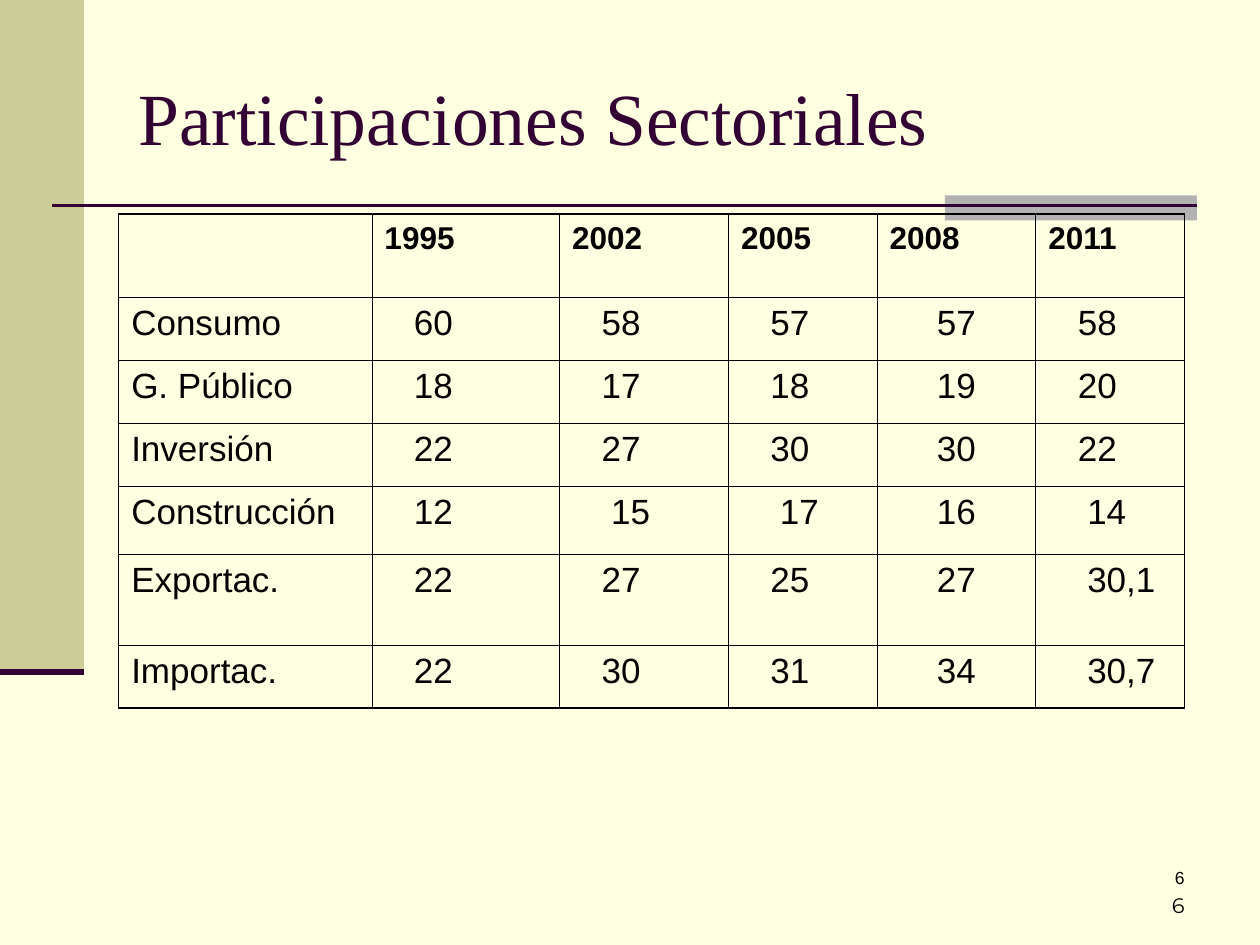
from dataclasses import dataclass
from lxml.etree import SubElement
from pptx import Presentation
from pptx.dml.color import RGBColor
from pptx.enum.shapes import MSO_CONNECTOR, MSO_SHAPE
from pptx.enum.text import MSO_ANCHOR, PP_ALIGN
from pptx.oxml import parse_xml
from pptx.oxml.ns import nsdecls, qn
from pptx.util import Inches, Pt


@dataclass(frozen=True)
class Theme:
    paper: str = "FFFFE1"
    olive: str = "CCCC99"
    grey: str = "B2B2B2"
    plum: str = "330033"
    ink: str = "000000"
    serif: str = "Times New Roman"
    sans: str = "Arial"
    number_font: str = "Montserrat"
    title_size: float = 42
    body_size: float = 20
    header_size: float = 18
    number_size: float = 12
    footer_size: float = 10
    outer_border: float = 1.08
    inner_border: float = 0.45


THEME = Theme()

# The slide is a grid of 60 columns by 45 rows of square units
COLUMNS, ROWS = 60, 45
UNIT = Inches(10) / COLUMNS

YEARS = ["", "1995", "2002", "2005", "2008", "2011"]
SECTORS = [
    ["Consumo", "60", "58", "57", "57", "58"],
    ["G. Público", "18", "17", "18", "19", "20"],
    ["Inversión", "22", "27", "30", "30", "22"],
    ["Construcción", "12", "15", "17", "16", "14"],
    ["Exportac.", "22", "27", "25", "27", "30,1"],
    ["Importac.", "22", "30", "31", "34", "30,7"],
]
COLUMN_WIDTHS = [12.06, 8.94, 8.04, 7.08, 7.56, 7.08]
ROW_HEIGHTS = [3.96, 3, 3, 3, 3.24, 4.32, 3]
CENTRED_YEAR = YEARS.index("2008")
INDENT, DEEP_INDENT = 1.4, 1.85
DEEP_CELLS = {(4, 2), (4, 3), (4, 5), (5, 5), (6, 5)}


def grid(*units):
    return [round(unit * UNIT) for unit in units]


def colour(value):
    return RGBColor.from_string(value)


def apply_format(target, values):
    for name, value in values.items():
        setattr(target, name, value)


def write(frame, text, size, font, ink=THEME.ink, bold=False, align=PP_ALIGN.LEFT):
    line = frame.paragraphs[0]
    line.alignment = align
    run = line.add_run()
    run.text = text
    apply_format(run.font, {"size": Pt(size), "name": font, "bold": bold})
    run.font.color.rgb = colour(ink)


def add_block(slide, area, fill):
    block = slide.shapes.add_shape(MSO_SHAPE.RECTANGLE, *grid(*area))
    block.shadow.inherit = False
    block.fill.solid()
    block.fill.fore_color.rgb = colour(fill)
    block.line.fill.background()


def add_rule(slide, ends, width):
    rule = slide.shapes.add_connector(MSO_CONNECTOR.STRAIGHT, *grid(*ends))
    rule.line.color.rgb = colour(THEME.plum)
    rule.line.width = Pt(width)
    SubElement(rule._element.spPr, qn("a:effectLst"))


def add_label(slide, area, text, size, font, anchor=MSO_ANCHOR.TOP, **style):
    frame = slide.shapes.add_textbox(*grid(*area)).text_frame
    apply_format(frame, {"word_wrap": True, "vertical_anchor": anchor})
    write(frame, text, size, font, **style)


def set_borders(cell, outer_sides):
    properties = cell._tc.get_or_add_tcPr()
    for position, side in enumerate("LRTB"):
        width = THEME.outer_border if side in outer_sides else THEME.inner_border
        properties.insert(position, parse_xml(
            f'<a:ln{side} {nsdecls("a")} w="{Pt(width)}"><a:solidFill>'
            f'<a:srgbClr val="{THEME.ink}"/></a:solidFill></a:ln{side}>'))


def fill_cell(cell, row, column, text):
    cell.fill.background()
    # Figures are indented, apart from the one centred column
    is_figure = row > 0 and column > 0
    centred = is_figure and column == CENTRED_YEAR
    indent = 0
    if is_figure and not centred:
        indent = DEEP_INDENT if (row, column) in DEEP_CELLS else INDENT
    cell.margin_left = Inches(0.1) + grid(indent)[0]
    if text:
        write(cell.text_frame, text,
              THEME.body_size if row else THEME.header_size, THEME.sans,
              bold=row == 0, align=PP_ALIGN.CENTER if centred else PP_ALIGN.LEFT)
    edges = {"L": column == 0, "R": column == len(YEARS) - 1,
             "T": row == 0, "B": row == len(SECTORS)}
    set_borders(cell, [side for side, outer in edges.items() if outer])


def add_shares_table(slide, left, top):
    lines = [YEARS, *SECTORS]
    area = grid(left, top, sum(COLUMN_WIDTHS), sum(ROW_HEIGHTS))
    shares = slide.shapes.add_table(len(lines), len(YEARS), *area).table
    apply_format(shares, {"first_row": False, "horz_banding": False})
    for column, width in zip(shares.columns, grid(*COLUMN_WIDTHS)):
        column.width = width
    for row, height in zip(shares.rows, grid(*ROW_HEIGHTS)):
        row.height = height
    for row, line in enumerate(lines):
        for column, text in enumerate(line):
            fill_cell(shares.cell(row, column), row, column, text)


def main():
    deck = Presentation()
    deck.slide_width, deck.slide_height = grid(COLUMNS, ROWS)
    slide = deck.slides.add_slide(deck.slide_layouts[6])
    slide.background.fill.solid()
    slide.background.fill.fore_color.rgb = colour(THEME.paper)

    # Side band, accent and rules
    add_block(slide, (0, 0, 4, 32), THEME.olive)
    add_block(slide, (45, 9.3, 12, 1.2), THEME.grey)
    add_rule(slide, (2.5, 9.8, 57, 9.8), 1.5)
    add_rule(slide, (0, 32, 4, 32), 3.5)

    # Title and table
    add_label(slide, (6, 1.8, 51, 7.5), "Participaciones Sectoriales",
              THEME.title_size, THEME.serif, MSO_ANCHOR.MIDDLE, ink=THEME.plum)
    add_shares_table(slide, 5.65, 10.2)

    # Page numbers
    add_label(slide, (43, 41, 14, 3), "6", THEME.number_size, THEME.number_font,
              MSO_ANCHOR.BOTTOM, align=PP_ALIGN.RIGHT)
    add_label(slide, (44.5, 41, 12.5, 3), "6", THEME.footer_size, THEME.sans,
              align=PP_ALIGN.RIGHT)

    deck.save("out.pptx")


if __name__ == "__main__":
    main()
